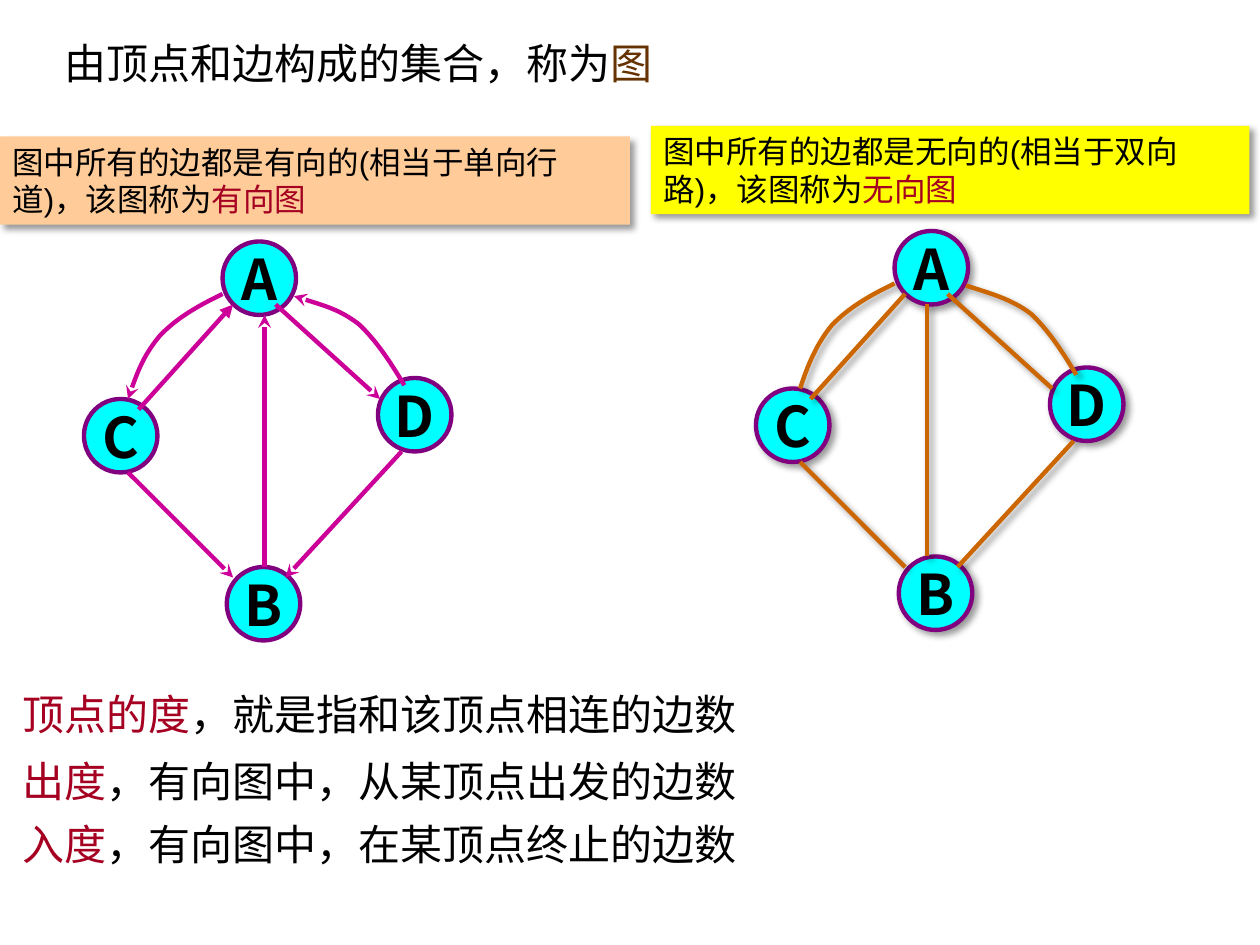
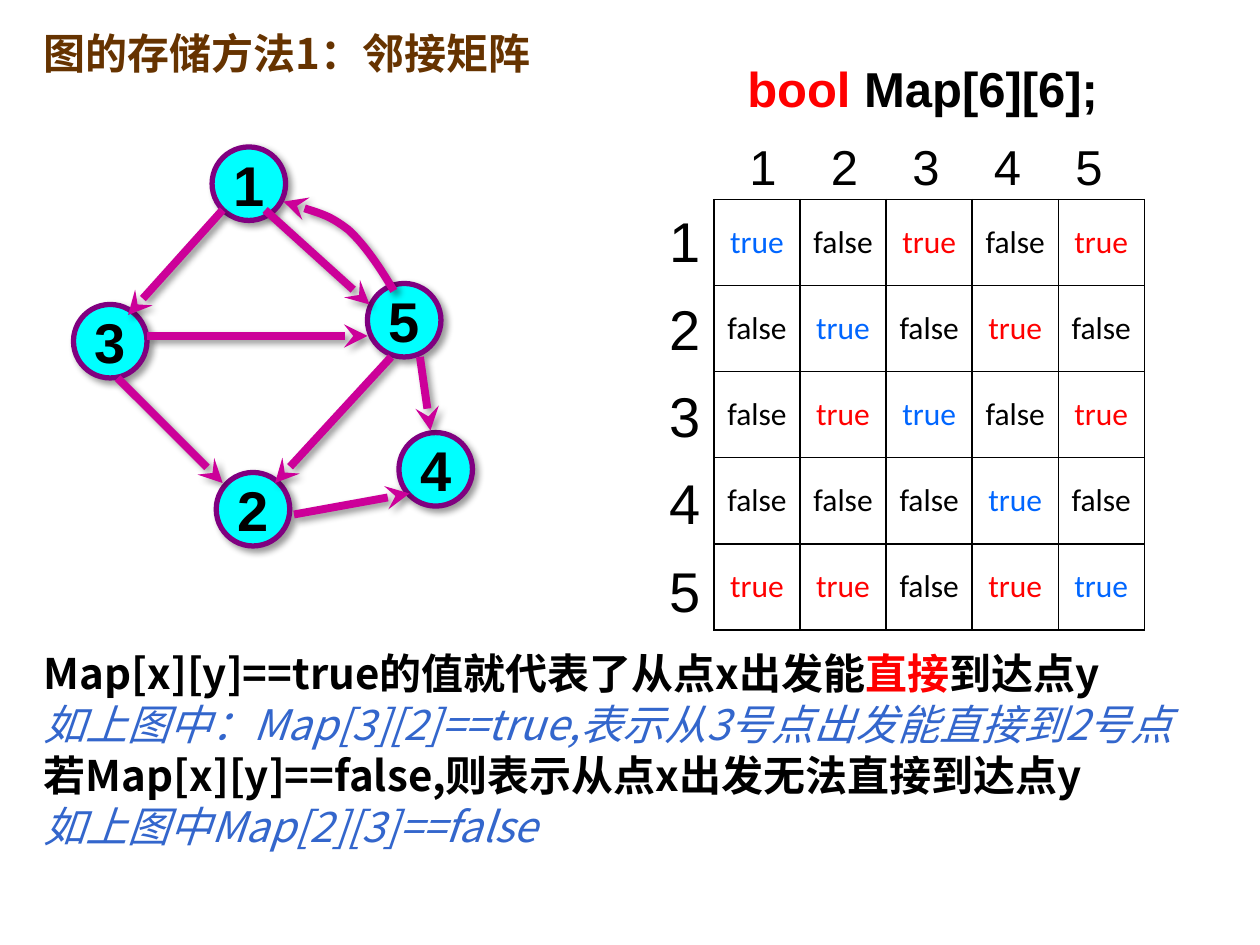
import pptx
import pptx.dml.color
import pptx.enum.shapes
import pptx.enum.text
import pptx.oxml.ns
import pptx.util
from lxml import etree

RGBColor = pptx.dml.color.RGBColor
MSO_SHAPE = pptx.enum.shapes.MSO_SHAPE
PP_ALIGN = pptx.enum.text.PP_ALIGN
MIDDLE = pptx.enum.text.MSO_ANCHOR.MIDDLE
Pt = pptx.util.Pt
qn = pptx.oxml.ns.qn

BLACK = RGBColor(0x00, 0x00, 0x00)
RED = RGBColor(0xFF, 0x00, 0x00)
CRIMSON = RGBColor(0xA5, 0x00, 0x21)
BROWN = RGBColor(0x66, 0x33, 0x00)
ORANGE = RGBColor(0xCC, 0x66, 0x00)
MAGENTA = RGBColor(0xCC, 0x00, 0x99)
PURPLE = RGBColor(0x80, 0x00, 0x80)
CYAN = RGBColor(0x00, 0xFF, 0xFF)
PEACH = RGBColor(0xFF, 0xCC, 0x99)
YELLOW = RGBColor(0xFF, 0xFF, 0x00)
SKY = RGBColor(0x00, 0x66, 0xFF)
STEEL = RGBColor(0x33, 0x66, 0xCC)

CELL = Pt(6)
COLS, ROWS = 120, 90
NODE = 7
SANS, CJK, CJK_SC = "Arial", "Noto Sans CJK JP", "Noto Sans CJK SC"

TOP, LEFT, BOTTOM, RIGHT = (13.2, 0), (0, 15), (13.6, 31), (28, 13)
EXTRA = (31, 27.2)
TOP_LEFT = [(14.2, 6), (5.2, 16)]
LEFT_TOP = TOP_LEFT[::-1]
LEFT_BOTTOM = [(4.2, 22), (14.2, 32)]
RIGHT_BOTTOM = [(30.25, 20), (19.2, 32)]
TOP_RIGHT = [(18.25, 6), (28.2, 15)]
BOTTOM_TOP = [(17.2, 31), (17.2, 7)]
LEFT_RIGHT = [(7, 18), (28, 18)]
RIGHT_EXTRA = [(33, 20), (34, 27)]
BOTTOM_EXTRA = [(21, 35), (32, 33)]
ARC_TOP_LEFT = [(13.2, 5), (10.9, 6.1), (8.8, 7.3), (7.2, 9),
                (5.8, 10.7), (4.9, 12.8), (4.2, 15)]
ARC_RIGHT_TOP = [(30.5, 13.7), (29.2, 11.5), (27.8, 9.4), (26.2, 7.9),
                 (24.4, 6.5), (22.2, 5.9), (20, 5.2)]

MATRIX = ["10101", "01010", "01101", "00010", "11011"]


def cells(*lengths):
    """Turn grid cells into EMU."""
    return [round(n * CELL) for n in lengths]


def set_effects(sp, shadow):
    """Give a shape the soft shadow, or none."""
    effects = etree.SubElement(sp._element.spPr, qn("a:effectLst"))
    if shadow:
        outer = etree.SubElement(effects, qn("a:outerShdw"), blurRad="50800", dist="38100",
                                 dir="2700000", algn="tl", rotWithShape="0")
        color = etree.SubElement(outer, qn("a:srgbClr"), val=str(BLACK))
        etree.SubElement(color, qn("a:alpha"), val="40000")


def write(tf, paragraphs, size, font, bold=False, leading=None):
    """Fill a text frame with paragraphs made of (text, colour) runs."""
    for i, runs in enumerate(paragraphs):
        p = tf.add_paragraph() if i else tf.paragraphs[0]
        p.font.size, p.font.bold, p.font.name = Pt(size), bold, font
        etree.SubElement(p.font._element, qn("a:ea"), typeface=CJK_SC)
        if leading:
            p.line_spacing = leading
        for text, color in runs:
            r = p.add_run()
            r.text = text
            r.font.color.rgb = color


def add_text(slide, box, paragraphs, size, font, **style):
    """Add a wrapped text box and return its text frame."""
    tf = slide.shapes.add_textbox(*cells(*box)).text_frame
    tf.word_wrap = True
    write(tf, paragraphs, size, font, **style)
    return tf


def add_caption(slide, box, fill, runs):
    """Add a filled caption panel with a shadow."""
    sp = slide.shapes.add_shape(MSO_SHAPE.RECTANGLE, *cells(*box))
    sp.fill.solid()
    sp.fill.fore_color.rgb = fill
    sp.line.fill.background()
    set_effects(sp, True)
    sp.text_frame.vertical_anchor = pptx.enum.text.MSO_ANCHOR.TOP
    write(sp.text_frame, [runs], 18, SANS, leading=Pt(21.6))
    sp.text_frame.paragraphs[0].alignment = PP_ALIGN.LEFT


def add_node(slide, x, y, label, font, width, shadow):
    """Add one labelled vertex."""
    sp = slide.shapes.add_shape(MSO_SHAPE.OVAL, *cells(x, y, NODE, NODE))
    sp.fill.solid()
    sp.fill.fore_color.rgb = CYAN
    sp.line.color.rgb, sp.line.width = PURPLE, Pt(width)
    set_effects(sp, shadow)
    tf = sp.text_frame
    tf.word_wrap, tf.vertical_anchor = False, MIDDLE
    write(tf, [[(label, BLACK)]], 32, font, bold=True)
    tf.paragraphs[0].alignment = PP_ALIGN.CENTER


def add_arc(slide, points):
    """Add an open Bézier outline through start, control and end points."""
    builder = slide.shapes.build_freeform(*points[0])
    builder.add_line_segments(points[1:], close=False)
    sp = builder.convert_to_shape()
    sp.fill.background()
    outline = sp._element.find(".//" + qn("a:path"))
    steps = outline.findall(qn("a:lnTo"))
    for i in range(0, len(steps), 3):
        curve = etree.SubElement(outline, qn("a:cubicBezTo"))
        for step in steps[i:i + 3]:
            curve.append(step[0])
            outline.remove(step)
    return sp


def add_edge(slide, points, color, width, arrow, shadow):
    """Add a straight or curved edge with an optional arrowhead."""
    if len(points) == 2:
        straight = pptx.enum.shapes.MSO_CONNECTOR.STRAIGHT
        sp = slide.shapes.add_connector(straight, *points[0], *points[1])
    else:
        sp = add_arc(slide, points)
    sp.line.color.rgb, sp.line.width = color, Pt(width)
    if arrow:
        etree.SubElement(sp._element.spPr.find(qn("a:ln")), qn("a:tailEnd"), type=arrow)
    set_effects(sp, shadow)


def add_graph(slide, origin, nodes, edges, color, font=CJK, node_width=2.5,
              edge_width=2.5, arrow="stealth", shadow=True):
    """Place vertices and edges relative to the graph's top left corner."""
    left, top = origin
    for label, (x, y) in nodes.items():
        add_node(slide, left + x, top + y, label, font, node_width, shadow)
    for edge in edges:
        head = "triangle" if arrow and edge is LEFT_TOP else arrow
        points = [cells(left + x, top + y) for x, y in edge]
        add_edge(slide, points, color, edge_width, head, shadow)


def add_matrix(slide, box):
    """Add the adjacency table with its column and row numbers."""
    x, y, side = box
    numbers = [str(n + 1) for n in range(len(MATRIX))]
    tf = add_text(slide, (x + 2.2, y - 6.6, 44.6, 6.8), [[("\t".join(numbers), BLACK)]], 28, SANS)
    tabs = etree.Element(qn("a:tabLst"))
    for n in range(1, len(MATRIX)):
        etree.SubElement(tabs, qn("a:tab"), pos=str(cells(n * 7.76)[0]), algn="l")
    tf.paragraphs[0]._p.pPr.insert(0, tabs)
    add_text(slide, (x - 5.4, y - 1.8, 7.6, 42.7), [[(n, BLACK)] for n in numbers],
             32, SANS, leading=1.3)

    size = len(MATRIX)
    table = slide.shapes.add_table(size, size, *cells(x, y, side, side)).table
    table.first_row = table.horz_banding = False
    for i, row in enumerate(MATRIX):
        for j, flag in enumerate(row):
            color = SKY if i == j else RED if flag == "1" else BLACK
            fill_cell(table.cell(i, j), "true" if flag == "1" else "false", color)


def fill_cell(cell, text, color):
    """Write one table value and draw its four borders."""
    cell.fill.background()
    cell.vertical_anchor = MIDDLE
    write(cell.text_frame, [[(text, color)]], 18, "Calibri")
    cell.text_frame.paragraphs[0].alignment = PP_ALIGN.CENTER
    for i, side in enumerate("LRTB"):
        ln = etree.Element(qn("a:ln" + side), w=str(Pt(1)))
        solid = etree.SubElement(ln, qn("a:solidFill"))
        etree.SubElement(solid, qn("a:srgbClr"), val=str(BLACK))
        cell._tc.tcPr.insert(i, ln)


def add_definitions_slide(slide):
    """Build the slide that defines graphs and degrees."""
    add_text(slide, (5, 3, 61, 6), [[("由顶点和边构成的集合，称为", BLACK), ("图", BROWN)]],
             24, SANS, leading=Pt(28.8))
    letters = {"A": TOP, "C": LEFT, "B": BOTTOM, "D": RIGHT}
    shared = [ARC_TOP_LEFT, ARC_RIGHT_TOP, LEFT_BOTTOM, RIGHT_BOTTOM, LEFT_TOP, TOP_RIGHT]
    add_graph(slide, (72, 22), letters, shared + [[(16.3, 31), (16.3, 7)]], ORANGE, arrow=None)
    add_graph(slide, (8, 23), letters, shared + [BOTTOM_TOP], MAGENTA, shadow=False)
    add_caption(slide, (62, 12, 57, 8.4), YELLOW,
                [("图中所有的边都是无向的(相当于双向路)，该图称为", BLACK), ("无向图", CRIMSON)])
    add_caption(slide, (0, 13, 60, 8.4), PEACH,
                [("图中所有的边都是有向的(相当于单向行道)，该图称为", BLACK), ("有向图", CRIMSON)])
    degrees = [(65, "顶点的度", "，就是指和该顶点相连的边数"),
               (71.4, "出度", "，有向图中，从某顶点出发的边数"),
               (77.4, "入度", "，有向图中，在某顶点终止的边数")]
    for y, term, meaning in degrees:
        tf = add_text(slide, (1, y, 75, 6), [[(term, CRIMSON), (meaning, BLACK)]],
                      24, CJK, leading=Pt(28.8))
        tf.vertical_anchor = MIDDLE


def add_storage_slide(slide):
    """Build the slide on the adjacency matrix."""
    add_text(slide, (3, 2, 61, 6), [[("图的存储方法1：邻接矩阵", BROWN)]],
             24, CJK, bold=True, leading=Pt(28.8))
    numbers = {"1": TOP, "3": LEFT, "2": BOTTOM, "5": RIGHT, "4": EXTRA}
    edges = [RIGHT_EXTRA, LEFT_BOTTOM, RIGHT_BOTTOM, TOP_LEFT, ARC_RIGHT_TOP,
             TOP_RIGHT, BOTTOM_EXTRA, LEFT_RIGHT]
    add_graph(slide, (7, 14), numbers, edges, MAGENTA, font=SANS, node_width=3, edge_width=4.5)
    add_text(slide, (70, 5, 37, 6.8), [[("bool", RED), (" Map[6][6];", BLACK)]],
             28, SANS, bold=True)
    add_matrix(slide, (68, 19, 41))
    rules = [[("Map[x][y]==true的值就代表了从点x出发能", BLACK), ("直接", RED), ("到达点y", BLACK)],
             [("如上图中：Map[3][2]==true,表示从3号点出发能直接到2号点", STEEL)],
             [("若Map[x][y]==false,则表示从点x出发无法直接到达点y", BLACK)],
             [("如上图中Map[2][3]==false", STEEL)]]
    tf = add_text(slide, (3, 61, 111, 20.4), rules, 24, CJK_SC, leading=Pt(29.2))
    for i, p in enumerate(tf.paragraphs):
        p.font.bold, p.font.italic = i % 2 == 0, i % 2 == 1


def main():
    """Create the presentation and save it."""
    prs = pptx.Presentation()
    prs.slide_width, prs.slide_height = cells(COLS, ROWS)
    for build in (add_definitions_slide, add_storage_slide):
        build(prs.slides.add_slide(prs.slide_layouts[6]))
    prs.save("out.pptx")


if __name__ == "__main__":
    main()
